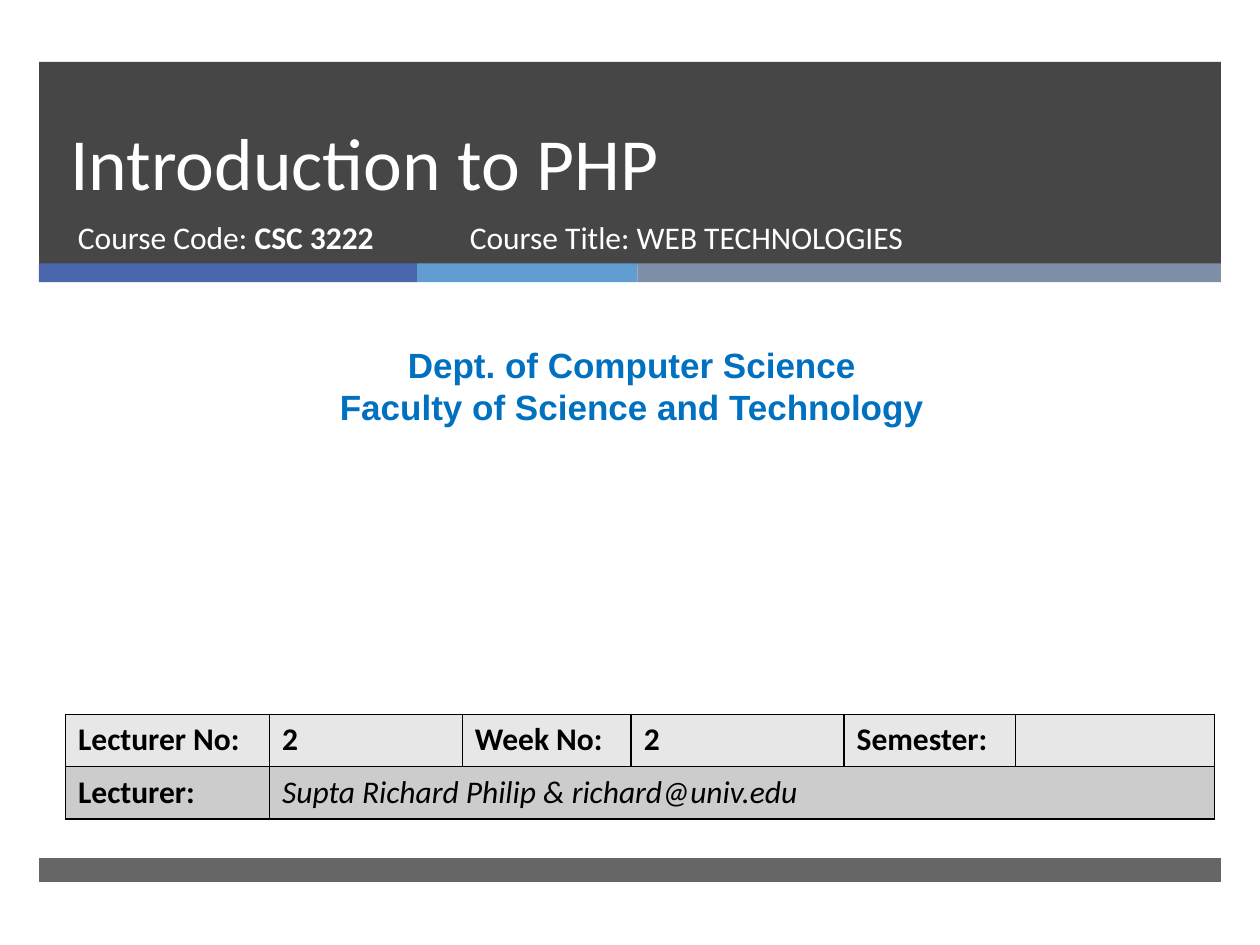
"""Build the title slide of a lecture on PHP."""
import pptx
import pptx.util
import pptx.dml.color
import pptx.enum.shapes
import pptx.enum.text
import pptx.oxml
import pptx.oxml.ns

Inches = pptx.util.Inches
Pt = pptx.util.Pt
Anchor = pptx.enum.text.MSO_ANCHOR
Align = pptx.enum.text.PP_ALIGN
color = pptx.dml.color.RGBColor.from_string

theme = {
    "dark": "262626", "accents": ["4A66AC", "629DD1", "7F8FA9"],
    "white": "FFFFFF", "black": "000000", "department": "0070C0",
    "rows": ["E7E7E7", "CCCCCC"],
    "title_size": 42, "department_size": 20, "body_size": 18,
    "body_font": "Calibri", "department_font": "Arial",
}
body = {"name": theme["body_font"], "size": Pt(theme["body_size"])}
heading = {"name": theme["body_font"], "size": Pt(theme["title_size"])}
department = {"name": theme["department_font"], "size": Pt(theme["department_size"]), "bold": True}


def add_run(paragraph, text, font_format, font_color):
    run = paragraph.add_run()
    run.text = text
    for name, value in font_format.items():
        setattr(run.font, name, value)
    run.font.color.rgb = color(font_color)


def add_xml(parent, content):
    namespace = pptx.oxml.ns.nsdecls("a")
    parent.append(pptx.oxml.parse_xml(content.replace(" ", f" {namespace} ", 1)))


presentation = pptx.Presentation()
presentation.slide_width = Inches(10)
presentation.slide_height = Inches(7.5)
slide = presentation.slides.add_slide(presentation.slide_layouts[6])

bands = [(0.31, 0.49, 9.38, 1.61, theme["dark"], 85)]
left = 0.31
for width, accent in zip([3, 1.75, 4.63], theme["accents"]):
    bands.append((left, 2.09, width, 0.15, accent, 100))
    left += width
bands.append((0.31, 6.81, 9.38, 0.19, theme["dark"], 70))

for *bounds, fill, opacity in bands:
    shape = slide.shapes.add_shape(
        pptx.enum.shapes.MSO_SHAPE.RECTANGLE, *map(Inches, bounds))
    shape.shadow.inherit = False
    shape.line.fill.background()
    shape.fill.solid()
    shape.fill.fore_color.rgb = color(fill)
    if opacity < 100:
        fill_color = shape.fill._xPr.find(".//" + pptx.oxml.ns.qn("a:srgbClr"))
        add_xml(fill_color, f'<a:alpha val="{opacity * 1000}"/>')

white = theme["white"]
text_boxes = [
    ((0.46, 0.49, 8.54, 1.19), Anchor.BOTTOM, {"line_spacing": Pt(46)}, white,
     [[("Introduction to PHP", heading)]]),
    ((0.52, 1.68, 3.05, 0.53), Anchor.TOP, {}, white,
     [[("Course Code: ", body), ("CSC 3222", {**body, "bold": True})]]),
    ((0.08, 2.68, 9.87, 0.77), Anchor.TOP, {"alignment": Align.CENTER}, theme["department"],
     [[("Dept. of Computer Science", department)],
      [("Faculty of Science and Technology", department)]]),
    ((3.63, 1.68, 4.55, 0.53), Anchor.TOP, {}, white,
     [[("Course Title: WEB TECHNOLOGIES", body)]]),
]
for bounds, anchor, paragraph_format, font_color, paragraphs in text_boxes:
    frame = slide.shapes.add_textbox(*map(Inches, bounds)).text_frame
    frame.word_wrap = True
    frame.vertical_anchor = anchor
    for index, runs in enumerate(paragraphs):
        paragraph = frame.add_paragraph() if index else frame.paragraphs[0]
        for name, value in paragraph_format.items():
            setattr(paragraph, name, value)
        for text, font_format in runs:
            add_run(paragraph, text, font_format, font_color)

column_widths = [1.62, 1.53, 1.34, 1.69, 1.36, 1.58]
row_texts = [
    ["Lecturer No:", "2", "Week No:", "2", "Semester:", ""],
    ["Lecturer:", "Supta Richard Philip & richard@univ.edu", "", "", "", ""],
]
table = slide.shapes.add_table(
    2, 6, Inches(0.52), Inches(5.67), Inches(9.12), Inches(0.83)).table
for column, width in zip(table.columns, column_widths):
    column.width = Inches(width)
table.cell(1, 1).merge(table.cell(1, 5))

for row_index, texts in enumerate(row_texts):
    for column_index, text in enumerate(texts):
        cell = table.cell(row_index, column_index)
        properties = cell._tc.get_or_add_tcPr()
        for side in ("lnL", "lnR", "lnT", "lnB"):
            add_xml(properties, f'<a:{side} w="12700"><a:solidFill>'
                    f'<a:srgbClr val="{theme["black"]}"/></a:solidFill></a:{side}>')
        cell.fill.solid()
        cell.fill.fore_color.rgb = color(theme["rows"][row_index])
        paragraph = cell.text_frame.paragraphs[0]
        paragraph.font.size = body["size"]
        if text:
            is_lecturer = cell.is_merge_origin
            cell_format = {**body, "bold": not is_lecturer, "italic": is_lecturer}
            add_run(paragraph, text, cell_format, theme["black"])

presentation.save("out.pptx")
